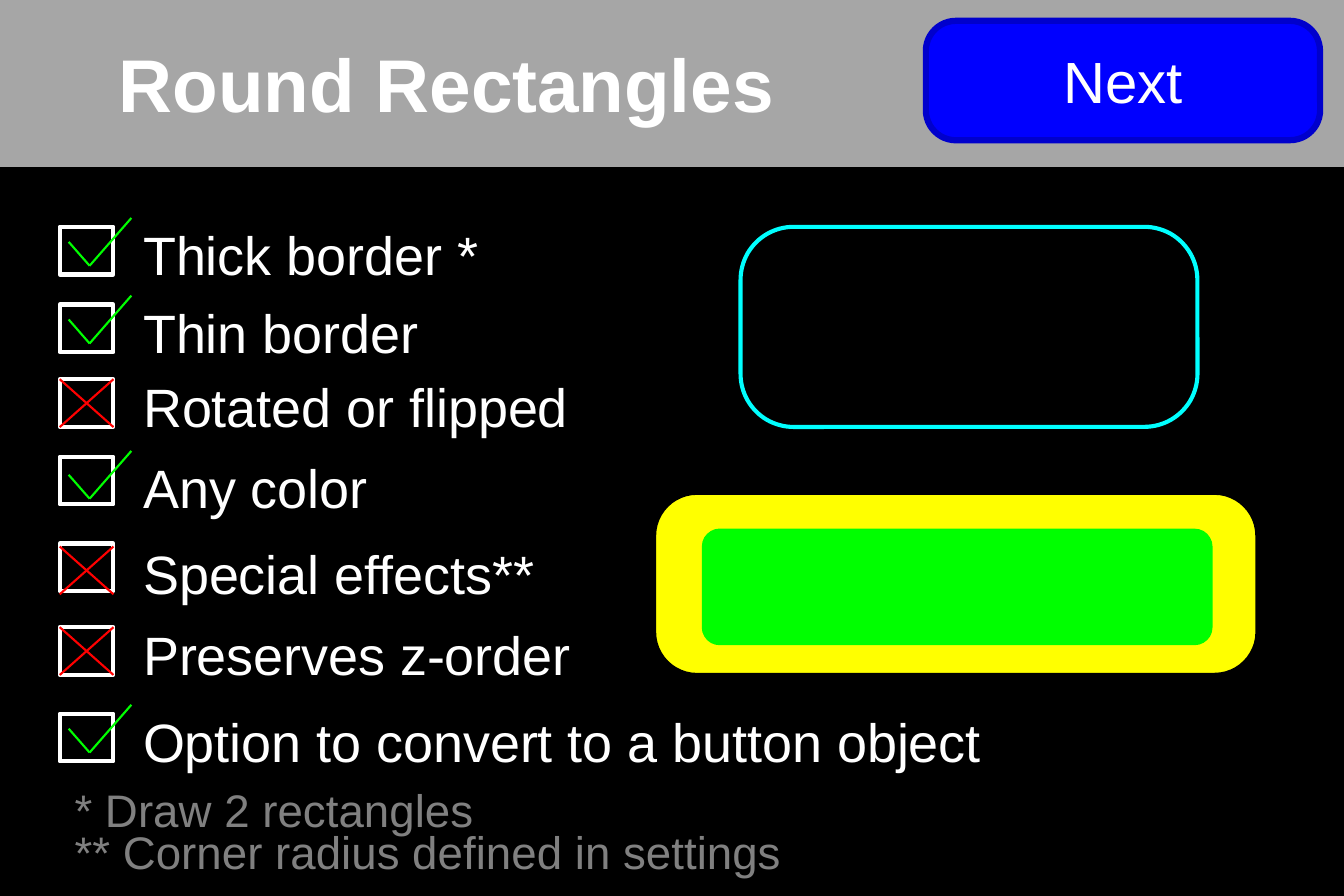
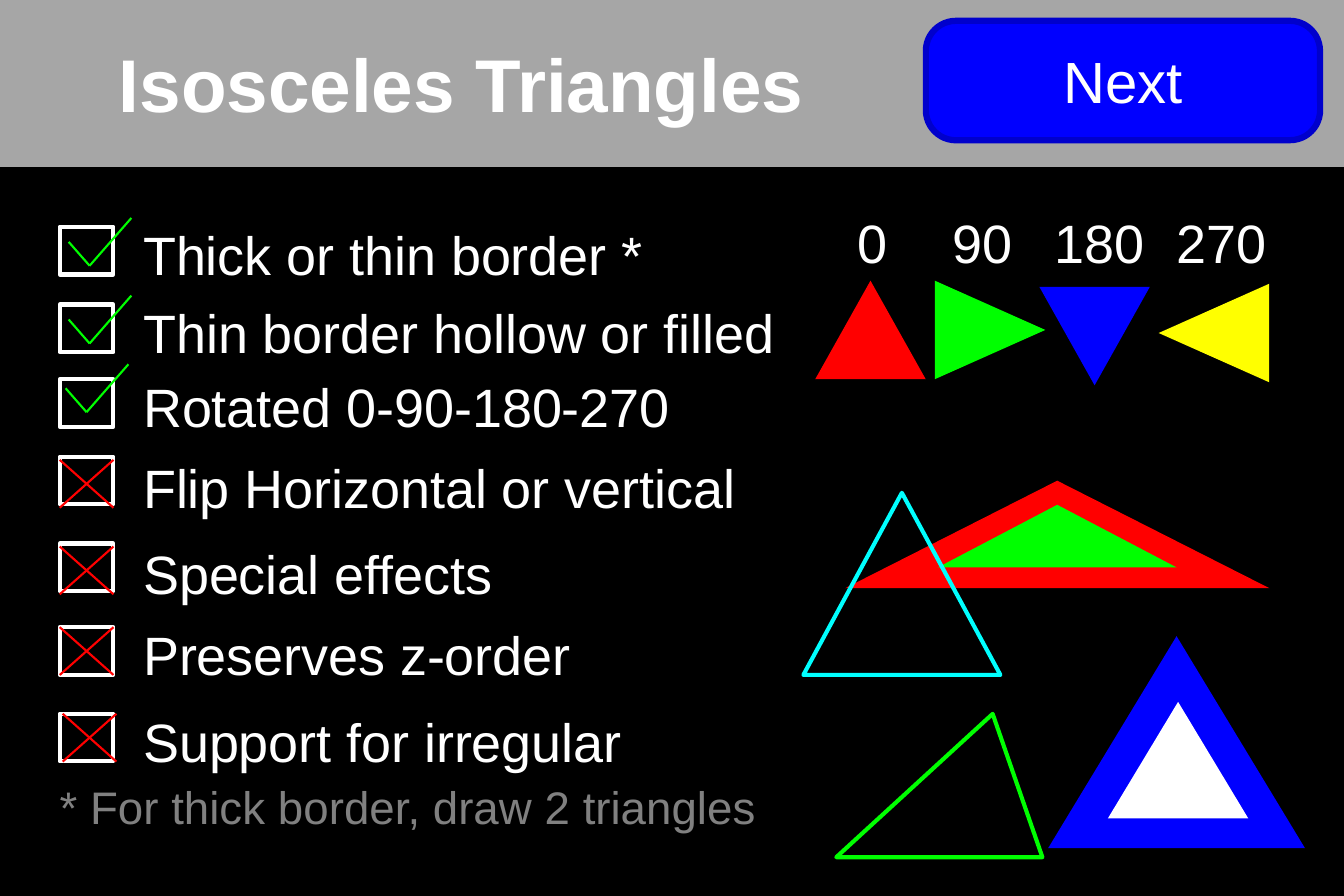
import pptx
import pptx.dml.color
import pptx.enum.shapes
import pptx.enum.text
import pptx.oxml.ns
import pptx.util
import lxml.etree

Inches = pptx.util.Inches
Pt = pptx.util.Pt
RGBColor = pptx.dml.color.RGBColor
PP_ALIGN = pptx.enum.text.PP_ALIGN
RECTANGLE = pptx.enum.shapes.MSO_SHAPE.RECTANGLE
ROUNDED = pptx.enum.shapes.MSO_SHAPE.ROUNDED_RECTANGLE
TRIANGLE = pptx.enum.shapes.MSO_SHAPE.ISOSCELES_TRIANGLE

# Colours and type
BLACK = RGBColor(0x00, 0x00, 0x00)
WHITE = RGBColor(0xFF, 0xFF, 0xFF)
BAND_GRAY = RGBColor(0xA6, 0xA6, 0xA6)
NOTE_GRAY = RGBColor(0x80, 0x80, 0x80)
RED = RGBColor(0xFF, 0x00, 0x00)
GREEN = RGBColor(0x00, 0xFF, 0x00)
BLUE = RGBColor(0x00, 0x00, 0xFF)
BUTTON_EDGE = RGBColor(0x00, 0x00, 0xCC)
YELLOW = RGBColor(0xFF, 0xFF, 0x00)
CYAN = RGBColor(0x00, 0xFF, 0xFF)
FONT = "Arial"
LABEL_SIZE = 13
NOTE_SIZE = 11
LABEL_HEIGHT = 0.18

# Checklist rows: label tops and box tops
LABEL_TOPS = (0.76, 1.02, 1.27, 1.54, 1.83, 2.10, 2.39)
BOX_TOPS = (0.76, 1.02, 1.27, 1.53, 1.82, 2.10, 2.39)

# Mark strokes as x1, y1, x2, y2, with y measured from the label top
CHECK = (GREEN, ((0.30, 0.13, 0.44, -0.03), (0.30, 0.13, 0.23, 0.05)))
CROSS = (RED, ((0.20, 0.16, 0.38, 0), (0.38, 0.16, 0.20, 0)))

# Items: label, width, mark, mark shift x, mark shift y
# Notes and captions: text, left, top, width, size, colour
# Samples: kind, left, top, width, height, fill, line, adjustment, rotation
SLIDES = (
    {
        "title": "Round Rectangles",
        "items": (
            ("Thick border *", 1.96, CHECK, 0, 0),
            ("Thin border", 1.96, CHECK, 0, 0),
            ("Rotated or flipped", 2.07, CROSS, 0, 0),
            ("Any color", 2.07, CHECK, 0, 0),
            ("Special effects**", 2.07, CROSS, 0, 0),
            ("Preserves z-order", 2.07, CROSS, 0, 0),
            ("Option to convert to a button object", 3.06, CHECK, 0, 0),
        ),
        "captions": (
            ("* Draw 2 rectangles", 0.25, 2.62, 3.56, NOTE_SIZE, NOTE_GRAY),
            ("** Corner radius defined in settings", 0.25, 2.76, 3.56, NOTE_SIZE, NOTE_GRAY),
        ),
        "samples": (
            (ROUNDED, 2.19, 1.65, 2.02, 0.61, YELLOW, BLACK, 0.235, 0),
            (ROUNDED, 2.48, 0.76, 1.53, 0.67, None, CYAN, 0.265, 0),
            (ROUNDED, 2.35, 1.77, 1.71, 0.39, GREEN, None, 0.153, 0),
        ),
    },
    {
        "title": "Isosceles Triangles",
        "items": (
            ("Thick or thin border *", 1.96, CHECK, 0, 0),
            ("Thin border hollow or filled", 2.32, CHECK, 0, 0),
            ("Rotated 0-90-180-270", 2.07, CHECK, -0.01, -0.02),
            ("Flip Horizontal or vertical", 2.07, CROSS, 0, 0),
            ("Special effects", 2.07, CROSS, 0, 0),
            ("Preserves z-order", 2.07, CROSS, 0, 0),
            ("Support for irregular", 3.06, CROSS, 0.01, 0),
        ),
        "captions": (
            ("* For thick border, draw 2 triangles", 0.2, 2.61, 3.56, NOTE_SIZE, NOTE_GRAY),
            ("0", 2.87, 0.72, 0.15, LABEL_SIZE, WHITE),
            ("90", 3.19, 0.72, 0.21, LABEL_SIZE, WHITE),
            ("180", 3.53, 0.72, 0.39, LABEL_SIZE, WHITE),
            ("270", 3.94, 0.72, 0.39, LABEL_SIZE, WHITE),
        ),
        "samples": (
            (TRIANGLE, 2.80, 2.39, 0.69, 0.48, BLACK, GREEN, 0.759, 0),
            (TRIANGLE, 3.51, 2.13, 0.86, 0.71, BLUE, None, 0.5, 0),
            (TRIANGLE, 2.83, 1.61, 1.42, 0.36, RED, None, 0.5, 0),
            (TRIANGLE, 3.71, 2.35, 0.47, 0.39, WHITE, None, 0.5, 0),
            (TRIANGLE, 3.14, 1.69, 0.80, 0.21, GREEN, None, 0.5, 0),
            (TRIANGLE, 2.69, 1.65, 0.66, 0.61, None, CYAN, 0.5, 0),
            (TRIANGLE, 2.73, 0.94, 0.37, 0.33, RED, None, 0.5, 0),
            (TRIANGLE, 3.15, 0.92, 0.33, 0.37, GREEN, None, 0.5, 90),
            (TRIANGLE, 3.48, 0.96, 0.37, 0.33, BLUE, None, 0.5, 180),
            (TRIANGLE, 3.90, 0.93, 0.33, 0.37, YELLOW, None, 0.5, 270),
        ),
    },
)


def add_shape(slide, kind, left, top, width, height, fill=None, line=None,
              adjustment=None, rotation=0, line_width=1):
    shape = slide.shapes.add_shape(
        kind, Inches(left), Inches(top), Inches(width), Inches(height))
    shape.shadow.inherit = False
    shape.rotation = rotation
    if adjustment is not None:
        shape.adjustments[0] = adjustment
    if fill is None:
        shape.fill.background()
    else:
        shape.fill.solid()
        shape.fill.fore_color.rgb = fill
    if line is None:
        shape.line.fill.background()
    else:
        shape.line.color.rgb = line
        shape.line.width = Pt(line_width)
    return shape


def write_text(shape, text, size, color=WHITE, bold=False, inset=(0, 0),
               alignment=PP_ALIGN.LEFT):
    frame = shape.text_frame
    frame.word_wrap = True
    frame.vertical_anchor = pptx.enum.text.MSO_ANCHOR.MIDDLE
    frame.margin_left = frame.margin_right = Inches(inset[0])
    frame.margin_top = frame.margin_bottom = Inches(inset[1])
    paragraph = frame.paragraphs[0]
    paragraph.alignment = alignment
    run = paragraph.add_run()
    run.text = text
    run.font.name = FONT
    run.font.size = Pt(size)
    run.font.bold = bold
    run.font.color.rgb = color


presentation = pptx.Presentation()
presentation.slide_width = Inches(4.5)
presentation.slide_height = Inches(3)
background = presentation.slide_master.background.fill
background.solid()
background.fore_color.rgb = BLACK

for content in SLIDES:
    slide = presentation.slides.add_slide(presentation.slide_layouts[6])

    # Title band and button
    add_shape(slide, RECTANGLE, 0, 0, 4.5, 0.56, BAND_GRAY)
    title = slide.shapes.add_textbox(Inches(0.3), Inches(0.18), Inches(4.2), Inches(0.19))
    write_text(title, content["title"], 18, bold=True, inset=(0.1, 0.05))
    button = add_shape(slide, ROUNDED, 3.1, 0.07, 1.32, 0.4, BLUE, BUTTON_EDGE,
                       0.252, line_width=1.5)
    write_text(button, "Next", 14, inset=(0.1, 0.05), alignment=PP_ALIGN.CENTER)

    # Checklist
    for item, label_top, box_top in zip(content["items"], LABEL_TOPS, BOX_TOPS):
        text, width, (color, strokes), shift_x, shift_y = item
        label = slide.shapes.add_textbox(
            Inches(0.48), Inches(label_top), Inches(width), Inches(LABEL_HEIGHT))
        write_text(label, text, LABEL_SIZE)
        add_shape(slide, RECTANGLE, 0.2, box_top, 0.18, 0.16, line=WHITE)
        for x1, y1, x2, y2 in strokes:
            stroke = slide.shapes.add_connector(
                pptx.enum.shapes.MSO_CONNECTOR.STRAIGHT,
                Inches(x1 + shift_x), Inches(label_top + y1 + shift_y),
                Inches(x2 + shift_x), Inches(label_top + y2 + shift_y))
            stroke.line.color.rgb = color
            stroke.line.width = Pt(0.5)
            lxml.etree.SubElement(
                stroke._element.spPr, pptx.oxml.ns.qn("a:effectLst"))

    # Sample shapes
    for sample in content["samples"]:
        add_shape(slide, *sample)

    # Footnotes and captions
    for text, left, top, width, size, color in content["captions"]:
        caption = slide.shapes.add_textbox(
            Inches(left), Inches(top), Inches(width), Inches(LABEL_HEIGHT))
        write_text(caption, text, size, color)

presentation.save("out.pptx")
